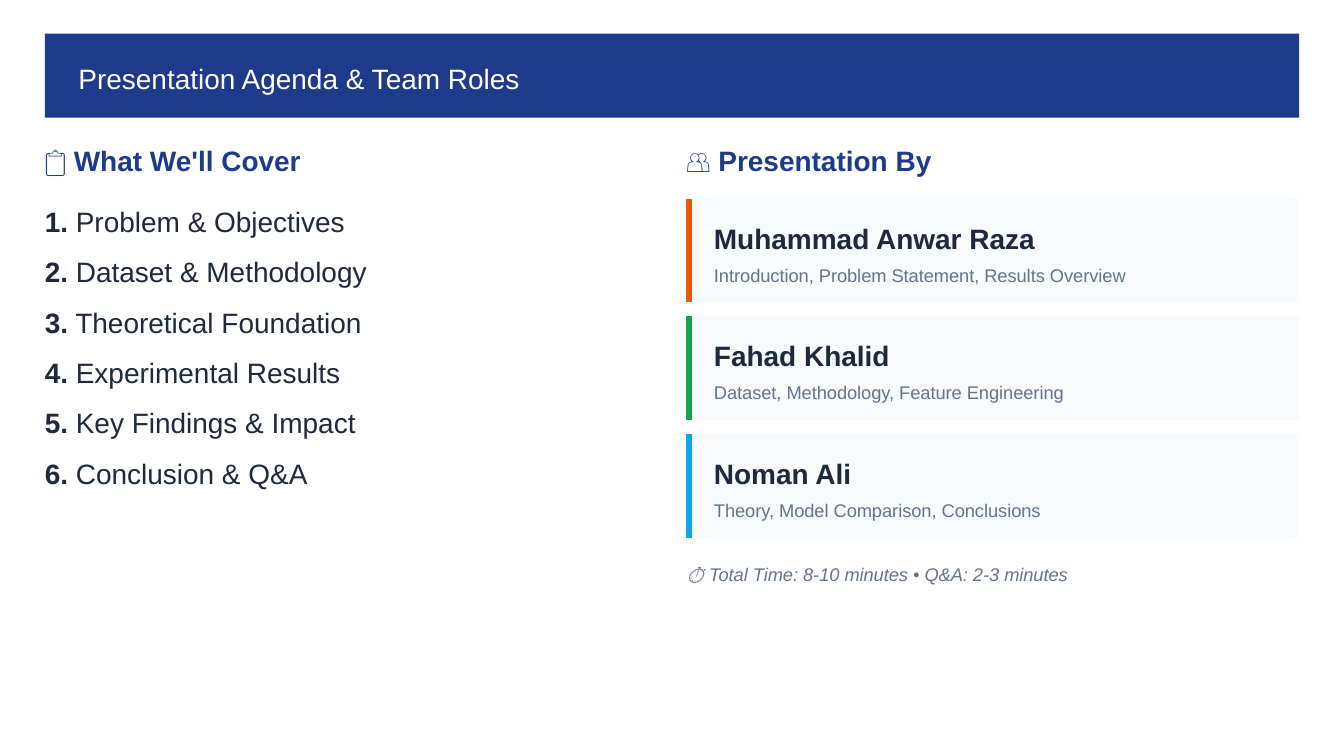
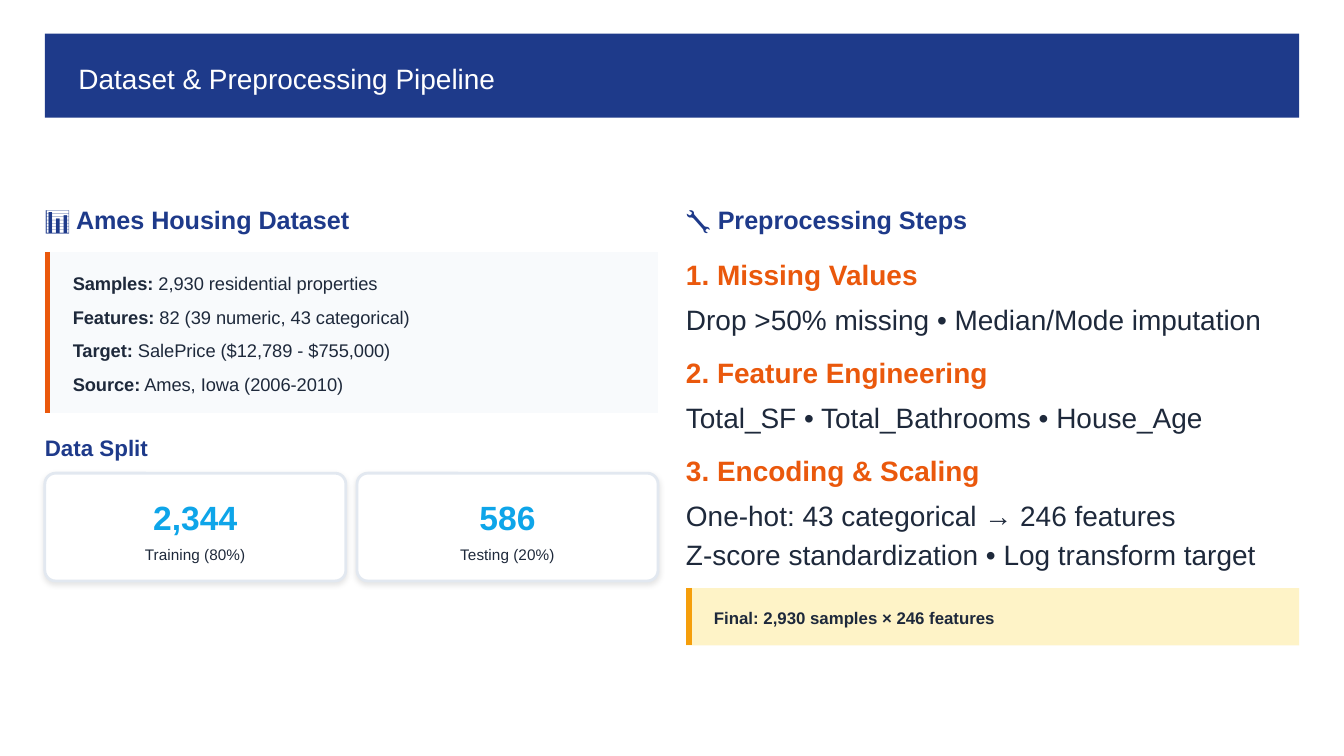
"""Build the agenda and dataset slides of a housing price presentation."""
import lxml.etree
import pptx
import pptx.dml.color
import pptx.enum.shapes
import pptx.enum.text
import pptx.oxml
import pptx.oxml.ns
import pptx.util
from typing import NamedTuple

RGB = pptx.dml.color.RGBColor
SHAPE = pptx.enum.shapes.MSO_SHAPE
ALIGN = pptx.enum.text.PP_ALIGN
NAVY = RGB(0x1E, 0x3A, 0x8A)
WHITE = RGB(0xFF, 0xFF, 0xFF)
INK = RGB(0x1E, 0x29, 0x3B)
SLATE = RGB(0x64, 0x74, 0x8B)
PALE = RGB(0xF8, 0xFA, 0xFC)
BORDER = RGB(0xE2, 0xE8, 0xF0)
ORANGE = RGB(0xEA, 0x58, 0x0C)
GREEN = RGB(0x16, 0xA3, 0x4A)
SKY = RGB(0x0E, 0xA5, 0xE9)
CREAM = RGB(0xFE, 0xF3, 0xC7)
AMBER = RGB(0xF5, 0x9E, 0x0B)

FONT = "Arial"
BODY, SMALL, CAPTION = 15, 9.75, 8.25
LEADING = 1.4
HEADING_LEADING = 1.2
TEXT_SLACK = 8
INSET_X, INSET_Y = 20, 12


class Box(NamedTuple):
    """A rectangle in px."""
    left: int
    top: int
    width: int
    height: int

    def inner(self, x, y, width, height):
        """Return a box placed relative to this one."""
        return Box(self.left + x, self.top + y, width, height)


BAND = Box(32, 24, 896, 60)


def px(length):
    """Turn px into EMU."""
    return pptx.util.Emu(length * 9525)


def place(box):
    """Turn a box into EMU values."""
    return [px(length) for length in box]


def write(frame, lines, size, color, bold=False, italic=False, align=ALIGN.LEFT, leading=LEADING):
    """Fill a text frame; a line given as a pair starts with a bold label."""
    frame.margin_left = frame.margin_right = frame.margin_top = frame.margin_bottom = 0
    frame.word_wrap = True
    frame.auto_size = pptx.enum.text.MSO_AUTO_SIZE.NONE
    frame.vertical_anchor = pptx.enum.text.MSO_ANCHOR.TOP
    for index, line in enumerate(lines):
        paragraph = frame.add_paragraph() if index else frame.paragraphs[0]
        paragraph.alignment = align
        paragraph.line_spacing = pptx.util.Pt(round(size * leading, 2))
        font = paragraph.font
        font.name, font.size, font.bold, font.italic = FONT, pptx.util.Pt(size), bold, italic
        font.color.rgb = color
        if isinstance(line, tuple):
            label, line = line
            label_run = paragraph.add_run()
            label_run.text = label
            label_run.font.bold = True
            line = " " + line
        paragraph.add_run().text = line


def add_text(slide, box, lines, size, color, **style):
    """Add a text box holding the given lines."""
    write(slide.shapes.add_textbox(*place(box)).text_frame, lines, size, color, **style)


def add_block(slide, kind, box, fill):
    """Add a filled shape without outline or shadow."""
    shape = slide.shapes.add_shape(kind, *place(box))
    shape.shadow.inherit = False
    shape.fill.solid()
    shape.fill.fore_color.rgb = fill
    shape.line.fill.background()
    return shape


def add_panel(slide, box, fill, accent):
    """Add a panel with an accent line along its left edge."""
    add_block(slide, SHAPE.RECTANGLE, box, fill)
    x = px(box.left + 2)
    line = slide.shapes.add_connector(
        pptx.enum.shapes.MSO_CONNECTOR.STRAIGHT, x, px(box.top), x, px(box.top + box.height))
    line.line.color.rgb = accent
    line.line.width = pptx.util.Pt(3)
    lxml.etree.SubElement(line.element.spPr, pptx.oxml.ns.qn("a:effectLst"))


def add_titled_slide(presentation, text):
    """Add a slide with its title on the navy band."""
    slide = presentation.slides.add_slide(presentation.slide_layouts[5])
    band = add_block(slide, SHAPE.RECTANGLE, BAND, NAVY)
    title = slide.shapes.title
    title.element.addprevious(band.element)
    title.left, title.top, title.width, title.height = place(BAND.inner(24, 16, 865, 28))
    write(title.text_frame, [text], BODY, WHITE)
    return slide


def add_agenda(slide, box):
    """Add the numbered list of topics."""
    topics = ["Problem & Objectives", "Dataset & Methodology", "Theoretical Foundation",
              "Experimental Results", "Key Findings & Impact", "Conclusion & Q&A"]
    add_text(slide, box.inner(0, 0, 225, 22), ["📋 What We'll Cover"], BODY, NAVY,
             bold=True, leading=1.11)
    for index, topic in enumerate(topics):
        add_text(slide, box.inner(0, 38 + 36 * index, box.width + TEXT_SLACK, 28),
                 [(f"{index + 1}.", topic)], BODY, INK)


def add_team(slide, box):
    """Add the presenters' cards and the timing note."""
    members = [
        ("Muhammad Anwar Raza", "Introduction, Problem Statement, Results Overview", ORANGE),
        ("Fahad Khalid", "Dataset, Methodology, Feature Engineering", GREEN),
        ("Noman Ali", "Theory, Model Comparison, Conclusions", SKY),
    ]
    add_text(slide, box.inner(0, 0, 225, 22), ["👥 Presentation By"], BODY, NAVY,
             bold=True, leading=1.11)
    for index, (name, role, accent) in enumerate(members):
        card = box.inner(0, 38 + 84 * index, box.width, 74)
        text_width = card.width - 28
        add_panel(slide, card, PALE, accent)
        add_text(slide, card.inner(INSET_X, INSET_Y, text_width, 28), [name], BODY, INK, bold=True)
        add_text(slide, card.inner(INSET_X, 44, text_width, 18), [role], SMALL, SLATE)
    add_text(slide, box.inner(0, 296, box.width + TEXT_SLACK, 18),
             ["⏱️ Total Time: 8-10 minutes • Q&A: 2-3 minutes"], SMALL, SLATE, italic=True)


def add_section_heading(slide, box, text, size=13.5):
    """Add a navy heading at the top of a box."""
    add_text(slide, box.inner(0, 0, box.width + TEXT_SLACK, 21), [text], size, NAVY,
             bold=True, leading=HEADING_LEADING)


def add_soft_shadow(shape):
    """Give a shape a faint shadow below it."""
    effects = shape.element.spPr.find(pptx.oxml.ns.qn("a:effectLst"))
    effects.append(pptx.oxml.parse_xml(
        f'<a:outerShdw {pptx.oxml.ns.nsdecls("a")} blurRad="38100" dist="19050" dir="5400000">'
        '<a:srgbClr val="000000"><a:alpha val="10000"/></a:srgbClr></a:outerShdw>'))


def add_split_card(slide, box, count, label):
    """Add a rounded card with a count and its label."""
    card = add_block(slide, SHAPE.ROUNDED_RECTANGLE, box, WHITE)
    card.adjustments[0] = 0.1
    card.line.color.rgb = BORDER
    card.line.width = pptx.util.Pt(1.5)
    add_soft_shadow(card)
    text_width = box.width - 20
    add_text(slide, box.inner(10, 12, text_width, 34), [count], 18, SKY,
             bold=True, align=ALIGN.CENTER)
    add_text(slide, box.inner(10, 49, text_width, 15), [label], CAPTION, INK, align=ALIGN.CENTER)


def add_dataset(slide, box):
    """Add the dataset facts and the data split."""
    facts = [("Samples:", "2,930 residential properties"),
             ("Features:", "82 (39 numeric, 43 categorical)"),
             ("Target:", "SalePrice ($12,789 - $755,000)"),
             ("Source:", "Ames, Iowa (2006-2010)")]
    splits = [("2,344", "Training (80%)"), ("586", "Testing (20%)")]
    add_section_heading(slide, box, "📊 Ames Housing Dataset")
    panel = box.inner(0, 34, box.width, 115)
    add_panel(slide, panel, PALE, ORANGE)
    for index, fact in enumerate(facts):
        add_text(slide, panel.inner(INSET_X, INSET_Y + 24 * index, panel.width - 28, 18),
                 [fact], SMALL, INK)
    add_section_heading(slide, box.inner(0, 164, box.width, 19), "Data Split", 12)
    gap = 8
    card_width = (box.width - gap) // 2
    for index, (count, label) in enumerate(splits):
        add_split_card(slide, box.inner((card_width + gap) * index, 192, card_width, 77),
                       count, label)


def add_preprocessing(slide, box):
    """Add the preprocessing steps and the closing callout."""
    steps = [
        ("Missing Values", ["Drop >50% missing • Median/Mode imputation"]),
        ("Feature Engineering", ["Total_SF • Total_Bathrooms • House_Age"]),
        ("Encoding & Scaling", ["One-hot: 43 categorical → 246 features",
                                "Z-score standardization • Log transform target"]),
    ]
    add_section_heading(slide, box, "🔧 Preprocessing Steps")
    text_width = box.width + TEXT_SLACK
    for index, (name, details) in enumerate(steps):
        step = box.inner(0, 34 + 70 * index, text_width, 28)
        add_text(slide, step, [f"{index + 1}. {name}"], BODY, ORANGE, bold=True)
        add_text(slide, step.inner(0, 32, text_width, 28 * len(details)), details, BODY, INK)
    callout = box.inner(0, 274, box.width, 41)
    add_panel(slide, callout, CREAM, AMBER)
    add_text(slide, callout.inner(INSET_X, INSET_Y, callout.width - 28, 16),
             ["Final: 2,930 samples × 246 features"], 9, INK, bold=True)


def main():
    """Build both slides and save them."""
    presentation = pptx.Presentation()
    presentation.slide_width, presentation.slide_height = px(960), px(540)
    agenda = add_titled_slide(presentation, "Presentation Agenda & Team Roles")
    add_agenda(agenda, Box(32, 104, 438, 250))
    add_team(agenda, Box(490, 104, 438, 314))
    dataset = add_titled_slide(presentation, "Dataset & Preprocessing Pipeline")
    add_dataset(dataset, Box(32, 146, 438, 269))
    add_preprocessing(dataset, Box(490, 146, 438, 315))
    presentation.save("out.pptx")


if __name__ == "__main__":
    main()
